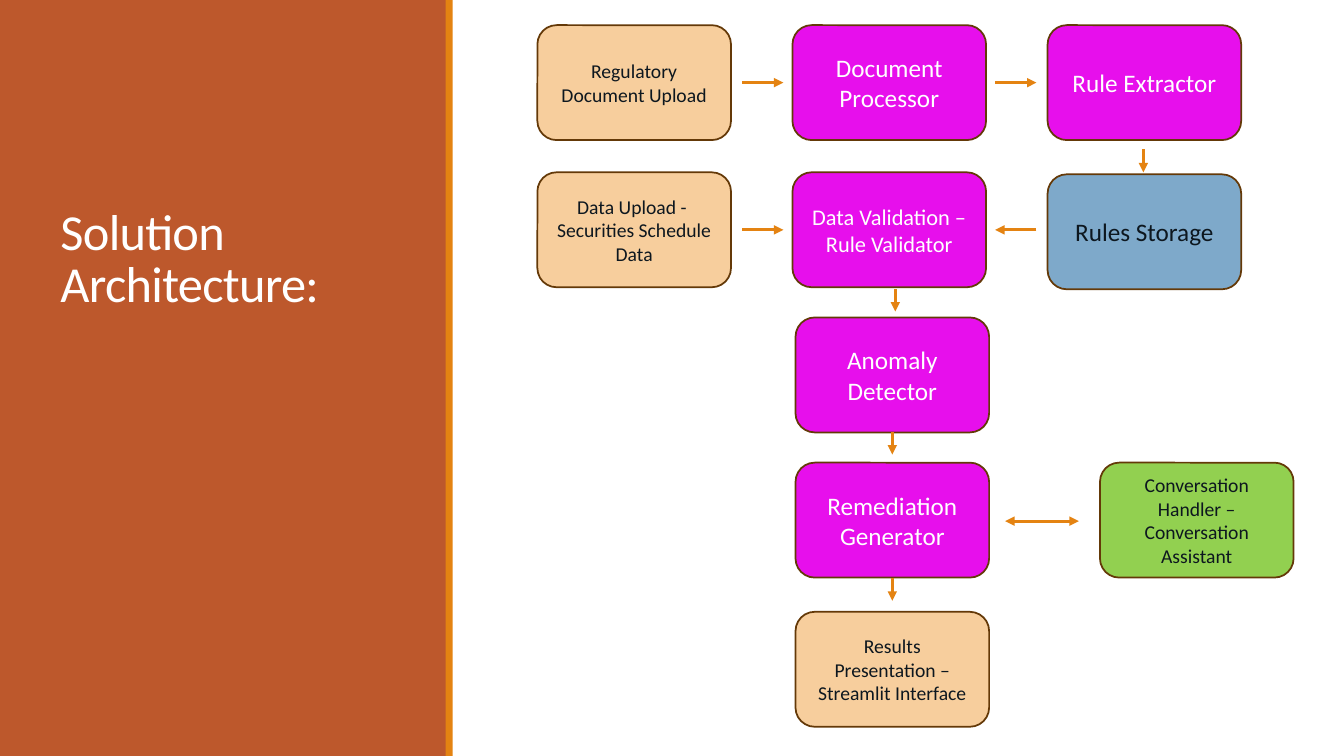
from pptx import Presentation
from pptx.dml.color import RGBColor
from pptx.enum.shapes import MSO_CONNECTOR as Connector, MSO_SHAPE as Shape
from pptx.enum.text import MSO_ANCHOR as Anchor, MSO_AUTO_SIZE as AutoSize, PP_ALIGN as Align
from pptx.oxml.ns import qn
from pptx.util import Inches, Pt
from lxml import etree

RUST = RGBColor(0xBD, 0x58, 0x2C)
ORANGE = RGBColor(0xE4, 0x83, 0x12)
BROWN = RGBColor(0x64, 0x39, 0x08)
PEACH = RGBColor(0xF7, 0xCE, 0x9D)
MAGENTA = RGBColor(0xE7, 0x0F, 0xEC)
BLUE = RGBColor(0x7E, 0xA9, 0xCA)
GREEN = RGBColor(0x92, 0xD0, 0x50)
INK = RGBColor(0x0D, 0x17, 0x1F)
WHITE = RGBColor(0xFF, 0xFF, 0xFF)
FONT = "Calibri"
BOX_WIDTH, BOX_HEIGHT = 1.92, 1.14


def add_filled(kind, left, top, width, height, color):
    shape = page.shapes.add_shape(kind, Inches(left), Inches(top), Inches(width), Inches(height))
    shape.shadow.inherit = False
    shape.fill.solid()
    shape.fill.fore_color.rgb = color
    shape.line.fill.background()
    return shape


def add_span(para, text, size, color):
    span = para.add_run()
    span.text = text
    span.font.name = FONT
    span.font.size = Pt(size)
    span.font.color.rgb = color
    return span


deck = Presentation()
deck.slide_width, deck.slide_height = Inches(13.33), Inches(7.5)
page = deck.slides.add_slide(deck.slide_layouts[5])

title = page.shapes.title
title.left, title.top, title.width, title.height = Inches(0.5), Inches(0.65), Inches(3.5), Inches(2.5)
title.text_frame.word_wrap = True
title.text_frame.auto_size = AutoSize.NONE
title.text_frame.vertical_anchor = Anchor.BOTTOM
para = title.text_frame.paragraphs[0]
para.alignment = Align.LEFT
para.line_spacing = 0.85
span = add_span(para, "Solution Architecture:", 36, WHITE)
span.font._element.set("spc", "-50")

for left, width, color in [(0, 4.43, RUST), (4.42, 0.07, ORANGE)]:
    panel = add_filled(Shape.RECTANGLE, left, 0, width, 7.5, color)
    title.element.addprevious(panel.element)

steps = [
    ("upload", 5.33, 0.25, PEACH, 14, ["Regulatory Document Upload"]),
    ("processor", 7.86, 0.25, MAGENTA, 18, ["Document Processor"]),
    ("extractor", 10.39, 0.25, MAGENTA, 18, ["Rule Extractor"]),
    ("storage", 10.39, 1.73, BLUE, 18, ["Rules Storage"]),
    ("validator", 7.86, 1.71, MAGENTA, 16, ["Data Validation – Rule Validator"]),
    ("data", 5.33, 1.71, PEACH, 14, ["Data Upload - ", "Securities Schedule Data"]),
    ("detector", 7.89, 3.15, MAGENTA, 18, ["Anomaly Detector"]),
    ("generator", 7.89, 4.59, MAGENTA, 18, ["Remediation Generator"]),
    ("assistant", 10.91, 4.59, GREEN, 14, ["Conversation Handler – Conversation Assistant"]),
    ("results", 7.89, 6.07, PEACH, 14, ["Results Presentation – Streamlit Interface"]),
]
boxes = {}
for name, left, top, color, size, lines in steps:
    box = add_filled(Shape.ROUNDED_RECTANGLE, left, top, BOX_WIDTH, BOX_HEIGHT, color)
    box.line.color.rgb = BROWN
    box.line.width = Pt(1.25)
    box.text_frame.word_wrap = True
    box.text_frame.vertical_anchor = Anchor.MIDDLE
    para = box.text_frame.paragraphs[0]
    para.alignment = Align.CENTER
    for index, line in enumerate(lines):
        if index:
            para.add_line_break()
        add_span(para, line, size, WHITE if color == MAGENTA else INK)
    boxes[name] = box

arrows = [
    (7.36, 0.82, 7.77, 0.82, None, ["tailEnd"]),
    (9.87, 0.82, 10.28, 0.82, None, ["tailEnd"]),
    (11.34, 1.48, 11.34, 1.71, None, ["tailEnd"]),
    (10.28, 2.28, 9.87, 2.28, None, ["tailEnd"]),
    (7.36, 2.28, 7.77, 2.28, None, ["tailEnd"]),
    (8.88, 2.87, 8.88, 3.09, None, ["tailEnd"]),
    (8.85, 4.29, 8.85, 4.51, "detector", ["tailEnd"]),
    (8.85, 5.73, 8.85, 5.96, "generator", ["tailEnd"]),
    (9.97, 5.17, 10.7, 5.17, None, ["headEnd", "tailEnd"]),
]
for start_x, start_y, end_x, end_y, source, heads in arrows:
    arrow = page.shapes.add_connector(
        Connector.STRAIGHT, Inches(start_x), Inches(start_y), Inches(end_x), Inches(end_y))
    if source:
        arrow.begin_connect(boxes[source], 2)
    arrow.line.color.rgb = ORANGE
    arrow.line.width = Pt(2.25)
    properties = arrow.element.spPr
    outline = properties.find(qn("a:ln"))
    for head in heads:
        etree.SubElement(outline, qn(f"a:{head}"), type="triangle")
    etree.SubElement(properties, qn("a:effectLst"))

deck.save("out.pptx")
